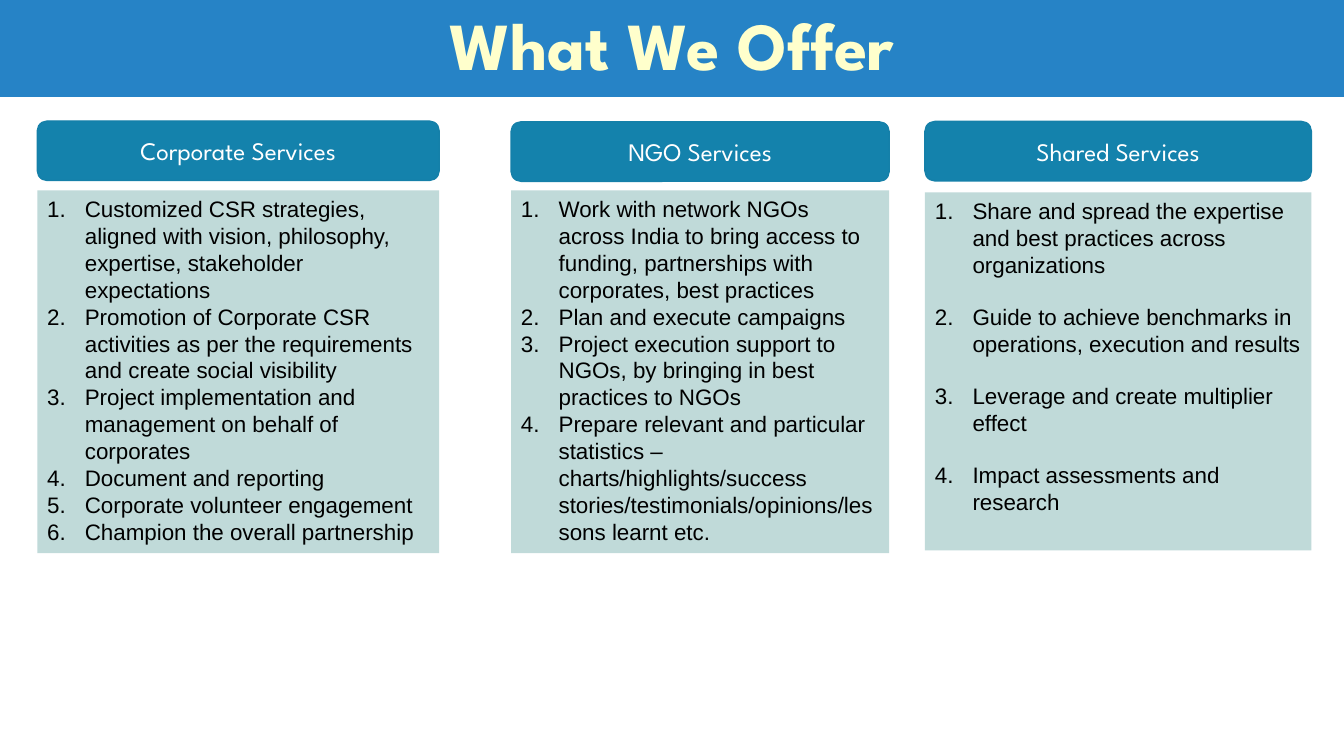
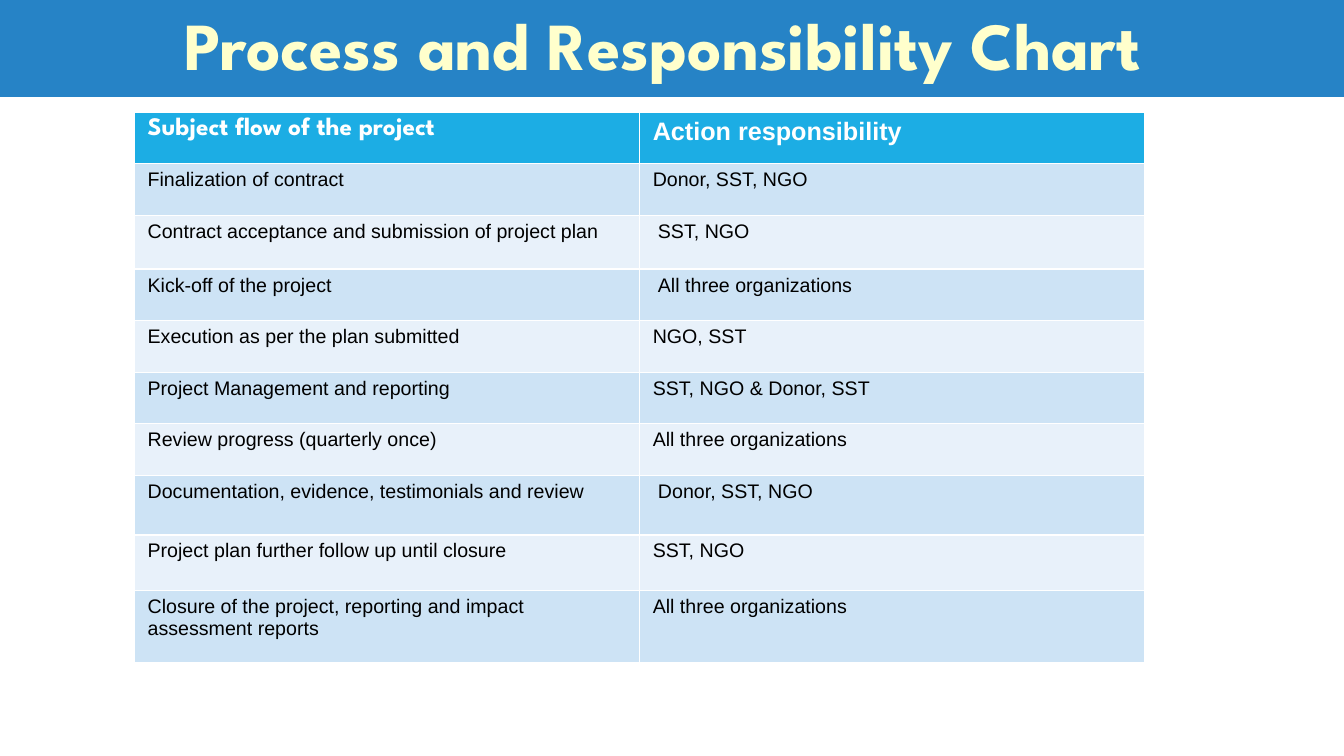
import pptx
import pptx.util
import pptx.dml.color
import pptx.enum.shapes
import pptx.enum.text
import lxml.etree
from pptx.util import Cm, Pt
from pptx.enum.text import MSO_ANCHOR, PP_ALIGN

HEADING_FONT = "League Spartan"
BODY_FONT = "Arial"
WHITE = "FFFFFF"
BLACK = "000000"
BAND_BLUE = "2683C6"
TITLE_CREAM = "FFFFCC"
SERVICE_BLUE = "1482AC"
SERVICE_EDGE = "1580A9"
LIST_GREEN = "C0DAD9"
HEADER_BLUE = "1CADE4"
ROW_TINTS = ["CDE3F5", "E8F1FA"]


def paint(target, color):
    rgb = pptx.dml.color.RGBColor.from_string(color)
    if hasattr(target, "solid"):
        target.solid()
        target.fore_color.rgb = rgb
    else:
        target.color.rgb = rgb


def style(paragraph, font_name, size, color, bold=False, align=PP_ALIGN.LEFT):
    paragraph.alignment = align
    paragraph.font.name = font_name
    paragraph.font.size = Pt(size)
    paragraph.font.bold = bold
    paint(paragraph.font, color)


prs = pptx.Presentation()
prs.slide_width = Cm(33.87)
prs.slide_height = Cm(19.05)

title_layout = prs.slide_layouts.get_by_name("Title Only")
title_band = title_layout.placeholders[0]
title_band.left, title_band.top = Cm(0), Cm(0)
title_band.width, title_band.height = prs.slide_width, Cm(2.44)
paint(title_band.fill, BAND_BLUE)

slides = []
for heading in ["What We Offer", "Process and Responsibility Chart "]:
    slide = prs.slides.add_slide(title_layout)
    title = slide.shapes.title
    title.text_frame.text = heading
    title.text_frame.auto_size = pptx.enum.text.MSO_AUTO_SIZE.NONE
    title.text_frame.vertical_anchor = MSO_ANCHOR.MIDDLE
    title.text_frame.paragraphs[0].line_spacing = 0.9
    style(title.text_frame.paragraphs[0], HEADING_FONT, 48, TITLE_CREAM, True, PP_ALIGN.CENTER)
    slides.append(slide)
offer_slide, process_slide = slides

services = [
    ("Corporate Services", 0.94, 10.13, 3.05, 4.8, 9.14, 0, [
        "Customized CSR strategies, aligned with vision, philosophy, expertise, stakeholder expectations",
        "Promotion of Corporate CSR activities as per the requirements and create social visibility",
        "Project implementation and management on behalf of corporates",
        "Document and reporting",
        "Corporate volunteer engagement",
        "Champion the overall partnership",
    ]),
    ("NGO Services", 12.88, 9.53, 3.07, 4.8, 9.14, 0, [
        "Work with network NGOs across India to bring access to funding, partnerships with corporates, best practices",
        "Plan and execute campaigns",
        "Project execution support to NGOs, by bringing in best practices to NGOs",
        "Prepare relevant and particular statistics – charts/highlights/success "
        "stories/testimonials/opinions/lessons learnt etc.",
    ]),
    ("Shared Services", 23.31, 9.74, 3.06, 4.85, 9.02, 18, [
        "Share and spread the expertise and best practices across organizations",
        "Guide to achieve benchmarks in operations, execution and results",
        "Leverage and create multiplier effect",
        "Impact assessments and research",
    ]),
]

for service, left, width, heading_top, list_top, list_height, gap, offers in services:
    service_heading = offer_slide.shapes.add_shape(
        pptx.enum.shapes.MSO_SHAPE.ROUNDED_RECTANGLE,
        Cm(left), Cm(heading_top), Cm(width), Cm(1.5))
    service_heading.shadow.inherit = False
    paint(service_heading.fill, SERVICE_BLUE)
    paint(service_heading.line, SERVICE_EDGE)
    service_heading.line.width = Pt(1)
    service_heading.text_frame.text = service
    service_heading.text_frame.vertical_anchor = MSO_ANCHOR.MIDDLE
    style(service_heading.text_frame.paragraphs[0], HEADING_FONT, 18, WHITE, align=PP_ALIGN.CENTER)

    offer_list = offer_slide.shapes.add_shape(
        pptx.enum.shapes.MSO_SHAPE.RECTANGLE,
        Cm(left), Cm(list_top), Cm(width), Cm(list_height))
    offer_list.shadow.inherit = False
    paint(offer_list.fill, LIST_GREEN)
    offer_list.line.fill.background()
    offer_list.text_frame.text = "\n".join(offers)
    offer_list.text_frame.vertical_anchor = MSO_ANCHOR.TOP
    for position, offer in enumerate(offer_list.text_frame.paragraphs):
        properties = offer._p.get_or_add_pPr()
        properties.set("marL", str(Cm(0.95)))
        properties.set("indent", str(-Cm(0.95)))
        numbering = lxml.etree.SubElement(properties, pptx.oxml.ns.qn("a:buAutoNum"))
        numbering.set("type", "arabicPeriod")
        offer.space_before = Pt(gap if position else 0)
        style(offer, BODY_FONT, 16, BLACK)

steps = [
    ("Subject flow of the project", "Action responsibility", 1.3, 0),
    ("Finalization of contract", "Donor, SST, NGO", 1.3, 0),
    ("Contract acceptance and submission of project plan", "SST, NGO", 1.35, 0.13),
    ("Kick-off of the project", "All three organizations", 1.3, 0.13),
    ("Execution as per the plan submitted", "NGO, SST", 1.3, 0),
    ("Project Management and reporting", "SST, NGO & Donor, SST", 1.3, 0),
    ("Review progress (quarterly once)", "All three organizations", 1.3, 0),
    ("Documentation, evidence, testimonials and review", "Donor, SST, NGO", 1.5, 0.13),
    ("Project plan further follow up until closure", "SST, NGO", 1.4, 0),
    ("Closure of the project, reporting and impact assessment reports", "All three organizations", 1.82, 0),
]

process = process_slide.shapes.add_table(
    len(steps), 2, Cm(3.39), Cm(2.83), Cm(25.46), Cm(sum(step[2] for step in steps))).table

for row, (subject, responsibility, height, indent) in enumerate(steps):
    process.rows[row].height = Cm(height)
    for column, wording in enumerate([subject, responsibility]):
        cell = process.cell(row, column)
        cell.text = wording
        cell.margin_left = Cm(0.33 + indent * column)
        cell.margin_right = Cm(0.33)
        cell.margin_top = cell.margin_bottom = Cm(0.13)
        paragraph = cell.text_frame.paragraphs[0]
        if row == 0:
            paint(cell.fill, HEADER_BLUE)
            style(paragraph, [HEADING_FONT, BODY_FONT][column], 18, WHITE, True)
        else:
            paint(cell.fill, ROW_TINTS[(row - 1) % 2])
            style(paragraph, BODY_FONT, 14, BLACK)

prs.save("out.pptx")
